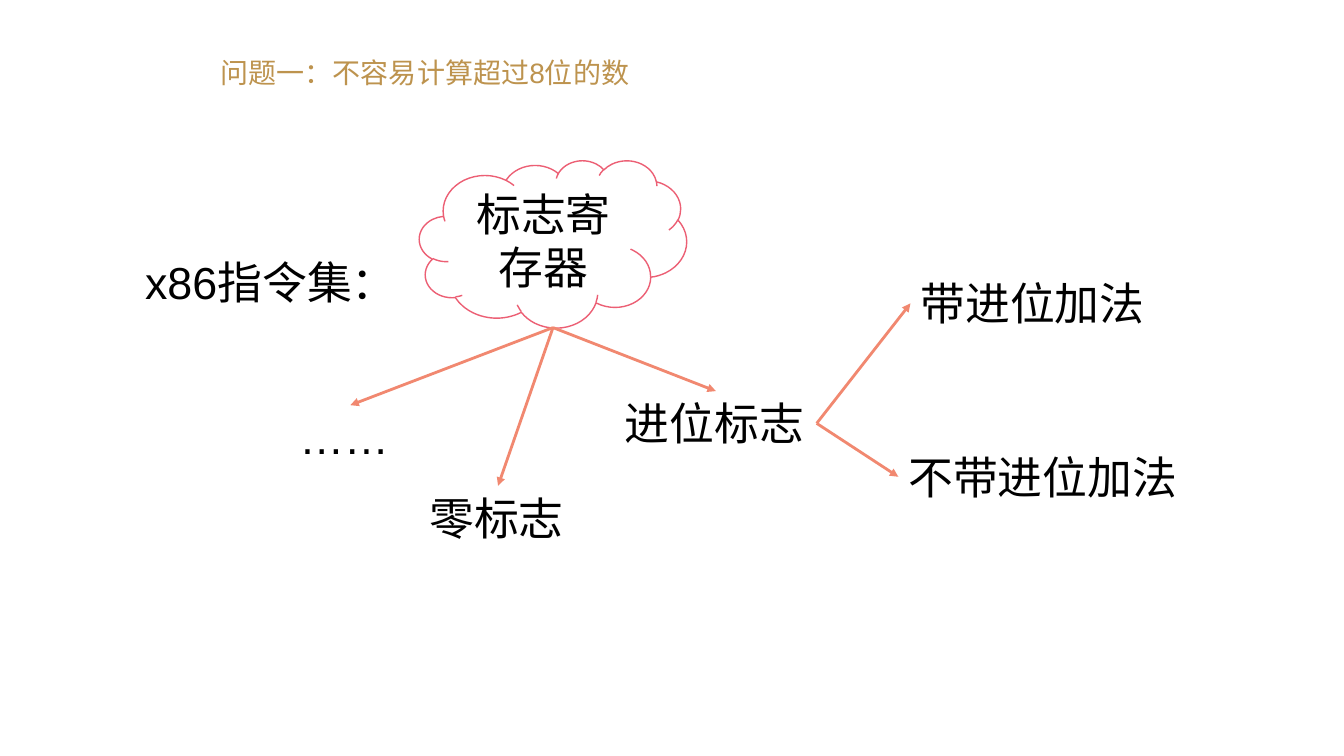
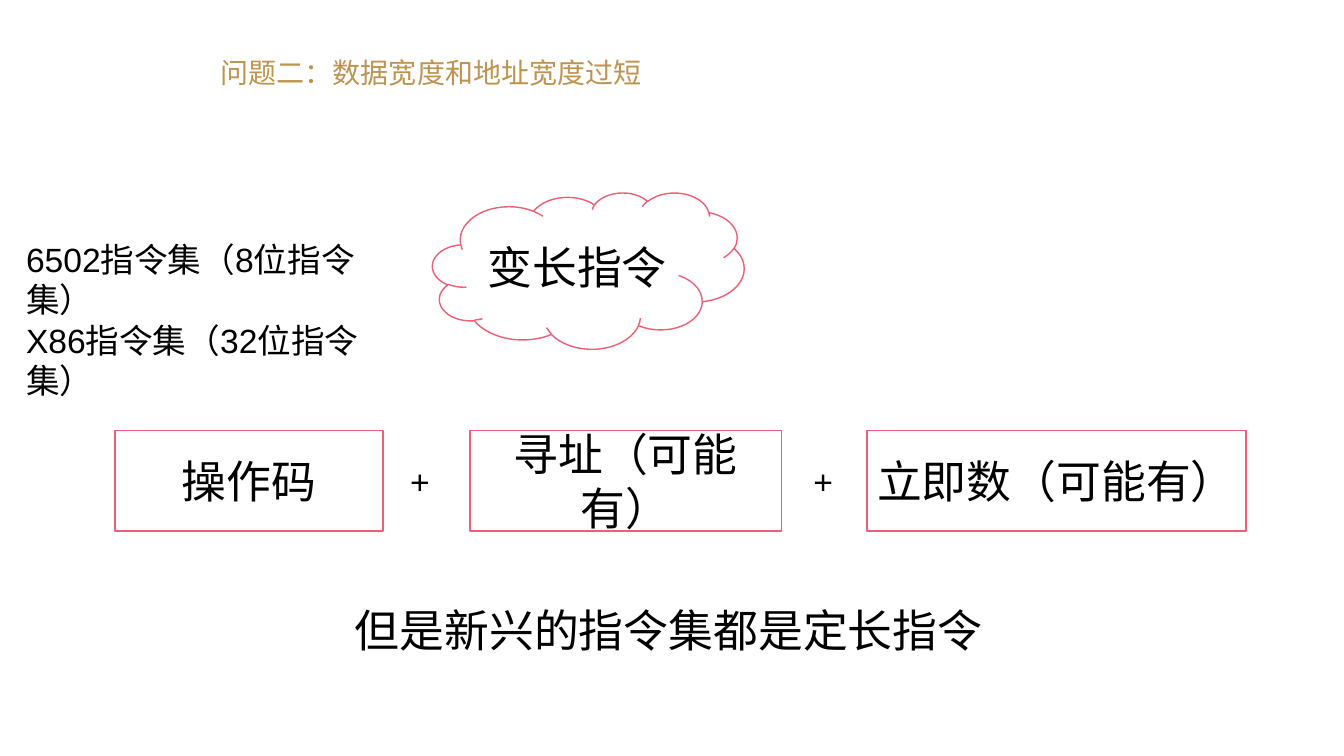
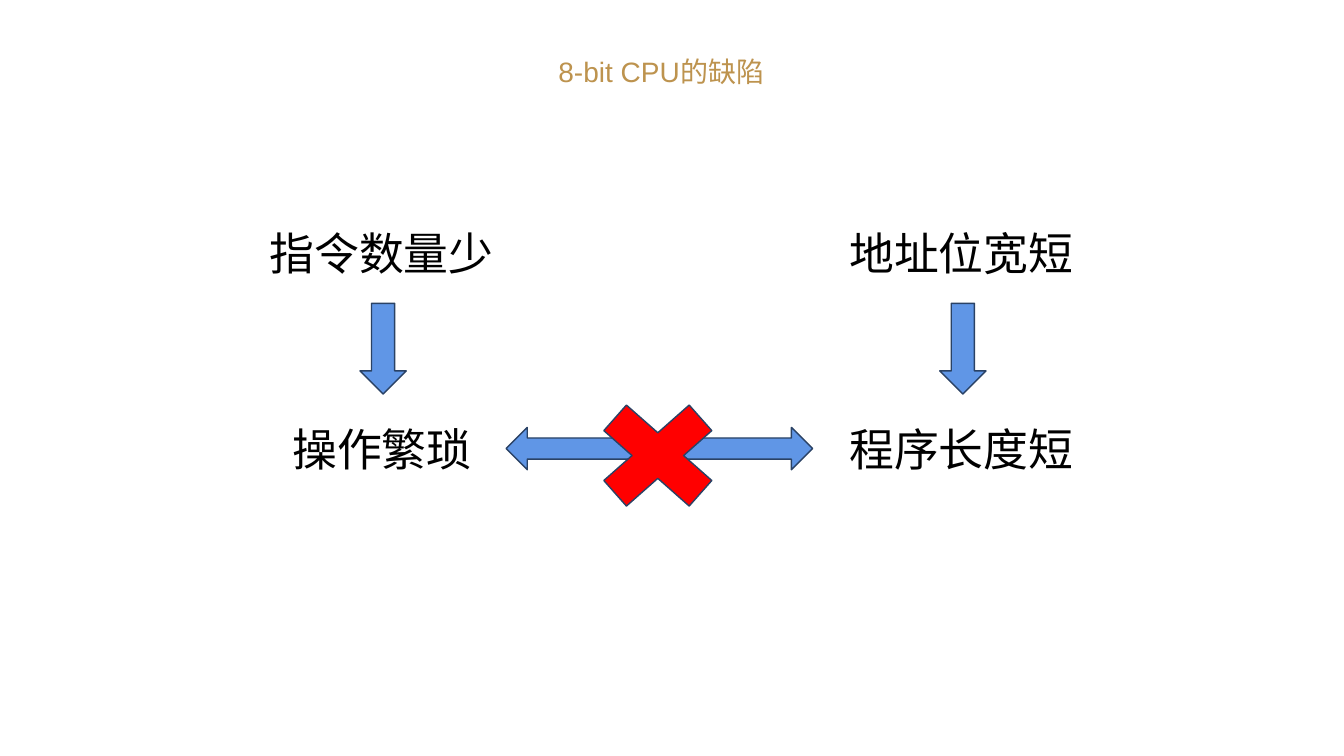
from dataclasses import dataclass

from lxml import etree
from pptx import Presentation
from pptx.dml.color import RGBColor
from pptx.enum import shapes, text
from pptx.oxml import ns
from pptx.util import Inches, Pt

KIND = shapes.MSO_SHAPE


@dataclass(frozen=True)
class Theme:
    font: str = "Arial"
    title_size: int = 20
    note_size: int = 24
    body_size: int = 32
    black: str = "000000"
    white: str = "FFFFFF"
    gold: str = "BD934E"
    pink: str = "EC5F74"
    coral: str = "F18870"
    blue: str = "6096E6"
    navy: str = "2A4265"
    red: str = "FF0000"
    outline: int = 1
    link: int = 2


THEME = Theme()
LABEL_H = 0.64

# Content: boxes are (left, top, width, height) in inches
TITLES = [
    ("问题一：不容易计算超过8位的数", (2.09, 0.5, 4.28, 0.44)),
    ("问题二：数据宽度和地址宽度过短", (2.09, 0.5, 4.38, 0.44)),
    ("8-bit CPU的缺陷", (5.44, 0.49, 2.26, 0.44)),
]

FLAG_REGISTER = ("标志寄存器", (4.16, 1.59, 2.65, 1.66))
INSTRUCTION_SET = ("x86指令集：", (1.34, 2.48, 2.41, LABEL_H))
CARRY_FLAG = ("进位标志", (6.1, 3.88, 2, LABEL_H))
FLAGS = [
    CARRY_FLAG,
    ("零标志", (4.16, 4.82, 1.56, LABEL_H)),
    ("……", (2.87, 4.02, 1.21, LABEL_H)),
]
ADDITIONS = [
    ("带进位加法", (9.03, 2.69, 2.65, LABEL_H)),
    ("不带进位加法", (8.91, 4.41, 2.9, LABEL_H)),
]

WORD_SIZES = (["6502指令集（8位指令集）", "X86指令集（32位指令集）"], (0.16, 2.32, 3.87, 0.91))
VARIABLE_LENGTH = ("变长指令", (4.29, 1.91, 3.09, 1.55))
FIELD_TOP, FIELD_H = 4.27, 1
FIELDS = [("操作码", 1.14, 2.66), ("寻址（可能有）", 4.66, 3.09), ("立即数（可能有）", 8.6, 3.76)]
PLUS_LEFTS, PLUS_W, PLUS_H = [3.97, 7.97], 0.4, 0.5
FIXED_LENGTH = ("但是新兴的指令集都是定长指令", (3.42, 5.93, 6.48, LABEL_H))

# Each column: centre, then cause and effect with their widths
DEFECTS = [
    (3.8, ("指令数量少", 2.45), ("操作繁琐", 2)),
    (9.55, ("地址位宽短", 2.45), ("程序长度短", 2.45)),
]
CAUSE_TOP, EFFECT_TOP = 2.19, 4.13
DOWN_TOP, DOWN_W, DOWN_H = 3.01, 0.46, 0.9
TRADE_OFF = (5.02, 4.24, 3.04, 0.42)
CROSS = (5.71, 3.8, 1.63, 1.44)


# Building blocks
def rgb(value):
    return RGBColor.from_string(value)


def place(box):
    return [Inches(length) for length in box]


def write(frame, lines, size, color, align=None):
    frame.word_wrap = True
    for index, line in enumerate(lines):
        paragraph = frame.add_paragraph() if index else frame.paragraphs[0]
        paragraph.text = line
        paragraph.alignment = align
        paragraph.font.name = THEME.font
        paragraph.font.size = Pt(size)
        paragraph.font.color.rgb = rgb(color)


def add_text(slide, lines, box, size=THEME.body_size, color=THEME.black):
    frame = slide.shapes.add_textbox(*place(box)).text_frame
    write(frame, [lines] if isinstance(lines, str) else lines, size, color)
    frame.auto_size = text.MSO_AUTO_SIZE.SHAPE_TO_FIT_TEXT


def add_figure(slide, kind, box, fill, line):
    figure = slide.shapes.add_shape(kind, *place(box))
    figure.shadow.inherit = False
    figure.fill.solid()
    figure.fill.fore_color.rgb = rgb(fill)
    figure.line.color.rgb = rgb(line)
    figure.line.width = Pt(THEME.outline)
    return figure


def add_caption_figure(slide, kind, caption, box):
    frame = add_figure(slide, kind, box, THEME.white, THEME.pink).text_frame
    frame.vertical_anchor = text.MSO_ANCHOR.MIDDLE
    write(frame, [caption], THEME.body_size, THEME.black, text.PP_ALIGN.CENTER)


def anchor(box, across, down):
    left, top, width, height = box
    return left + across * width, top + down * height


def add_arrow(slide, start, end):
    arrow = slide.shapes.add_connector(shapes.MSO_CONNECTOR.STRAIGHT, *place(start + end))
    arrow.line.color.rgb = rgb(THEME.coral)
    arrow.line.width = Pt(THEME.link)
    etree.SubElement(arrow.line._get_or_add_ln(), ns.qn("a:tailEnd"), type="triangle")
    etree.SubElement(arrow._element.spPr, ns.qn("a:effectLst"))


# Slides
def draw_flags(slide):
    add_text(slide, *INSTRUCTION_SET)
    add_caption_figure(slide, KIND.CLOUD, *FLAG_REGISTER)
    for label, box in FLAGS:
        add_text(slide, label, box)
        add_arrow(slide, anchor(FLAG_REGISTER[1], 0.5, 1), anchor(box, 0.5, 0))
    for label, box in ADDITIONS:
        add_text(slide, label, box)
        add_arrow(slide, anchor(CARRY_FLAG[1], 1, 0.5), anchor(box, 0, 0.5))


def draw_instruction_format(slide):
    add_text(slide, *WORD_SIZES, THEME.note_size)
    add_caption_figure(slide, KIND.CLOUD, *VARIABLE_LENGTH)
    for field, left, width in FIELDS:
        add_caption_figure(slide, KIND.RECTANGLE, field, (left, FIELD_TOP, width, FIELD_H))
    plus_top = FIELD_TOP + (FIELD_H - PLUS_H) / 2
    for left in PLUS_LEFTS:
        add_text(slide, "+", (left, plus_top, PLUS_W, PLUS_H), THEME.note_size)
    add_text(slide, *FIXED_LENGTH)


def draw_defects(slide):
    for center, cause, effect in DEFECTS:
        for (label, width), top in ((cause, CAUSE_TOP), (effect, EFFECT_TOP)):
            add_text(slide, label, (center - width / 2, top, width, LABEL_H))
        down_box = (center - DOWN_W / 2, DOWN_TOP, DOWN_W, DOWN_H)
        add_figure(slide, KIND.DOWN_ARROW, down_box, THEME.blue, THEME.navy)
    add_figure(slide, KIND.LEFT_RIGHT_ARROW, TRADE_OFF, THEME.blue, THEME.navy)
    add_figure(slide, KIND.MATH_MULTIPLY, CROSS, THEME.red, THEME.navy)


def main():
    deck = Presentation()
    deck.slide_width, deck.slide_height = Inches(13.33), Inches(7.5)
    for title, draw in zip(TITLES, (draw_flags, draw_instruction_format, draw_defects)):
        slide = deck.slides.add_slide(deck.slide_layouts[6])
        add_text(slide, *title, THEME.title_size, THEME.gold)
        draw(slide)
    deck.save("out.pptx")


if __name__ == "__main__":
    main()
